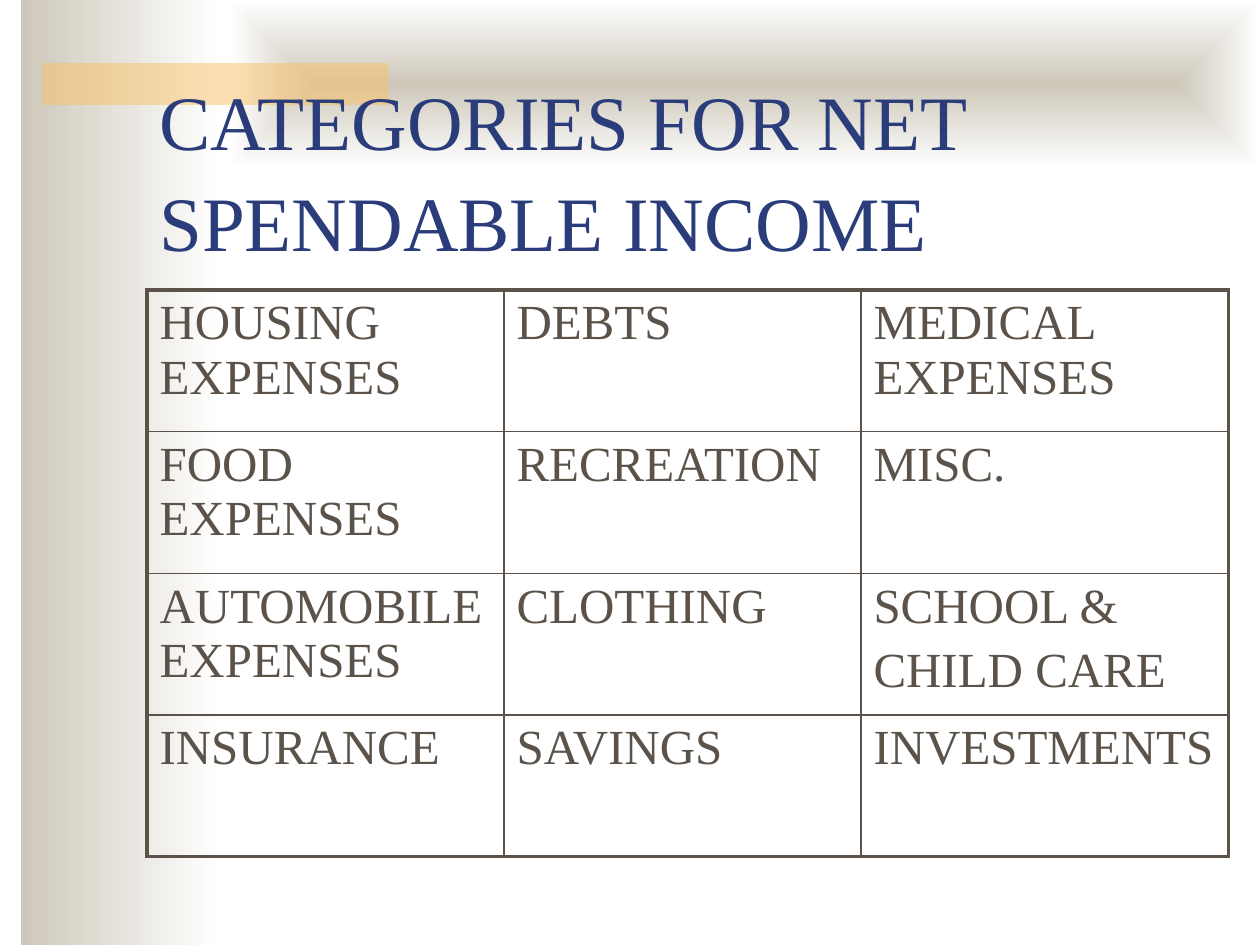
from lxml.etree import SubElement
from pptx import Presentation
from pptx.dml.color import RGBColor as RGB
from pptx.enum.shapes import MSO_SHAPE as Shape
from pptx.enum.text import MSO_ANCHOR as Anchor
from pptx.oxml.ns import qn
from pptx.util import Emu, Pt

PX = 914400 // 120
COLORS = {"sand": "CEC8BA", "white": "FFFFFF", "amber": "FAC164",
          "navy": "2A3D7A", "brown": "5B5249"}
CATEGORIES = [
    ["HOUSING EXPENSES", "DEBTS", "MEDICAL EXPENSES"],
    ["FOOD EXPENSES", "RECREATION", "MISC."],
    ["AUTOMOBILE EXPENSES", "CLOTHING", "SCHOOL &\nCHILD CARE"],
    ["INSURANCE", "SAVINGS", "INVESTMENTS"],
]


def px(*values):
    return [Emu(v * PX) for v in values]


def rgb(name):
    return RGB.from_string(COLORS[name])


class Deck:
    font = "Times New Roman"
    thick, thin = 2.25, 1

    def __init__(self, width, height):
        self.prs = Presentation()
        self.prs.slide_width, self.prs.slide_height = px(width, height)
        self.s = self.prs.slides.add_slide(self.prs.slide_layouts[6])

    def rect(self, *box):
        sp = self.s.shapes.add_shape(Shape.RECTANGLE, *px(*box))
        sp.shadow.inherit = False
        sp.line.fill.background()
        return sp

    def gradient(self, *box, centred=False):
        """Sand to white, left to right or from the centre outwards."""
        sp = self.rect(*box)
        sp.fill.gradient()
        sp.fill.gradient_angle = 0
        for stop, name, pos in zip(sp.fill.gradient_stops, ("sand", "white"), (0, 1)):
            stop.color.rgb = rgb(name)
            stop.position = pos
        if centred:
            grad = sp.element.spPr.find(qn("a:gradFill"))
            grad.remove(grad.find(qn("a:lin")))
            shade = SubElement(grad, qn("a:path"), {"path": "shape"})
            SubElement(shade, qn("a:fillToRect"), dict.fromkeys("ltrb", "50000"))

    def translucent(self, color, alpha, *box):
        sp = self.rect(*box)
        sp.fill.solid()
        sp.fill.fore_color.rgb = rgb(color)
        clr = sp.element.spPr.find(qn("a:solidFill"))[0]
        SubElement(clr, qn("a:alpha"), val=str(alpha * 1000))

    def add_text(self, tf, text, size, color, before=0, spacing=None):
        tf.word_wrap = True
        for i, line in enumerate(text.split("\n")):
            p = tf.add_paragraph() if i else tf.paragraphs[0]
            if i:
                p.space_before = Pt(before)
            if spacing:
                p.line_spacing = spacing
            r = p.add_run()
            r.text = line
            r.font.name, r.font.size = self.font, Pt(size)
            r.font.color.rgb = rgb(color)

    def title(self, text, *box):
        tf = self.s.shapes.add_textbox(*px(*box)).text_frame
        tf.vertical_anchor = Anchor.BOTTOM
        self.add_text(tf, text, 44, "navy", spacing=1.09)

    def borders(self, cell, edges):
        """Draw the four sides; a side on the table's edge is thick."""
        tc_pr = cell._tc.get_or_add_tcPr()
        for side, outer in zip("LRTB", edges):
            width = Pt(self.thick if outer else self.thin)
            ln = SubElement(tc_pr, qn(f"a:ln{side}"), w=str(int(width)))
            fill = SubElement(ln, qn("a:solidFill"))
            SubElement(fill, qn("a:srgbClr"), val=COLORS["brown"])

    def table(self, rows, left, top, widths, row_height):
        n, m = len(rows), len(widths)
        box = px(left, top, sum(widths), n * row_height)
        table = self.s.shapes.add_table(n, m, *box).table
        table.first_row = table.horz_banding = False
        for col, width in zip(table.columns, px(*widths)):
            col.width = width
        for i, row in enumerate(rows):
            for j, text in enumerate(row):
                cell = table.cell(i, j)
                self.borders(cell, (j == 0, j == m - 1, i == 0, i == n - 1))
                cell.fill.background()
                self.add_text(cell.text_frame, text, 28, "brown", before=5.6)


def main():
    deck = Deck(1200, 900)
    deck.gradient(20, 0, 190, 900)
    deck.gradient(220, 0, 980, 160, centred=True)
    deck.translucent("amber", 50, 40, 60, 330, 40)
    deck.title("CATEGORIES FOR NET SPENDABLE INCOME", 140, 110, 1020, 150)
    deck.table(CATEGORIES, 140, 276, (340, 340, 350), 135)
    deck.prs.save("out.pptx")


if __name__ == "__main__":
    main()
